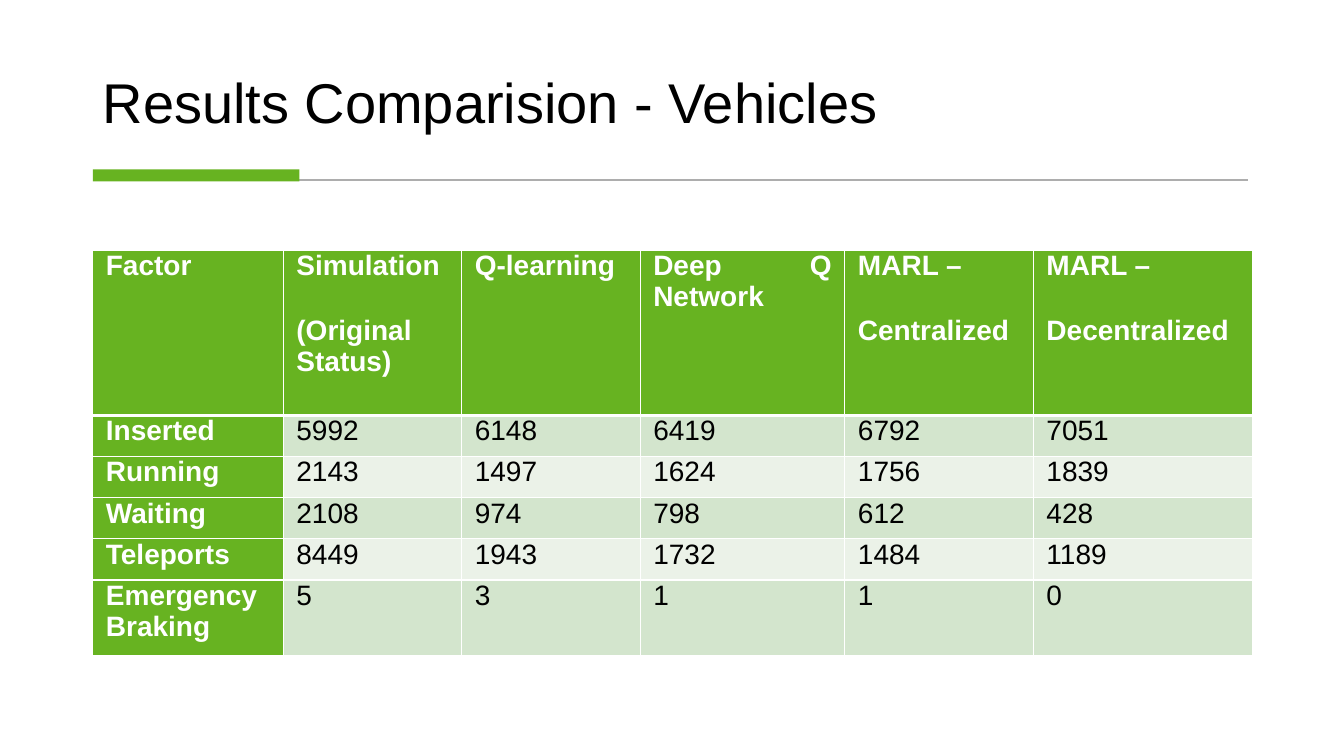
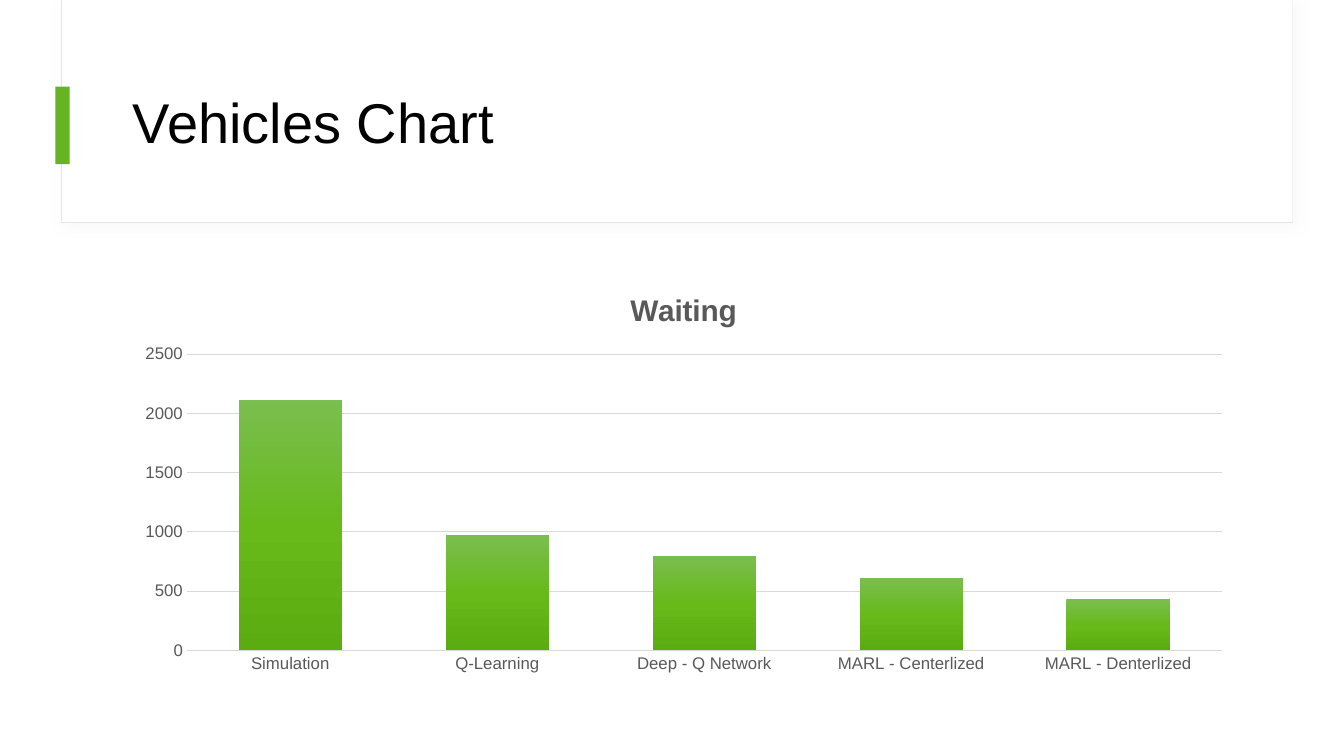
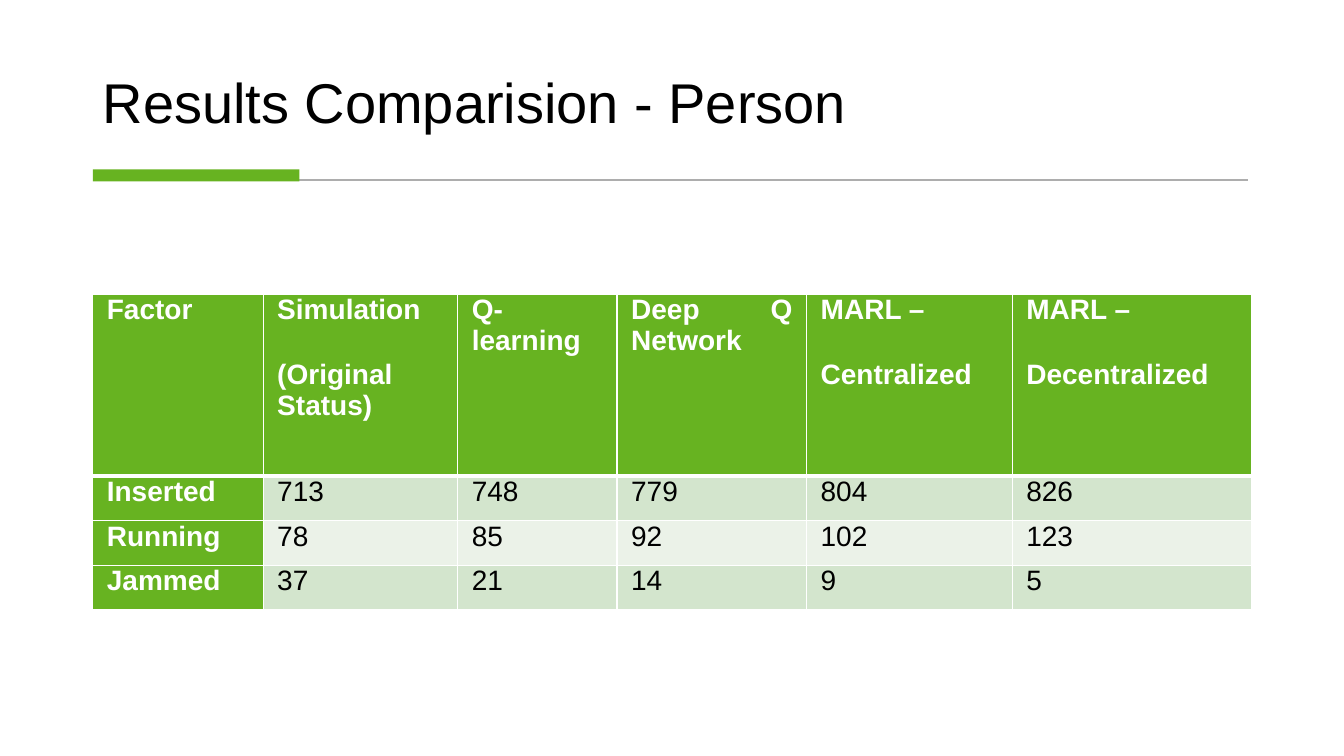
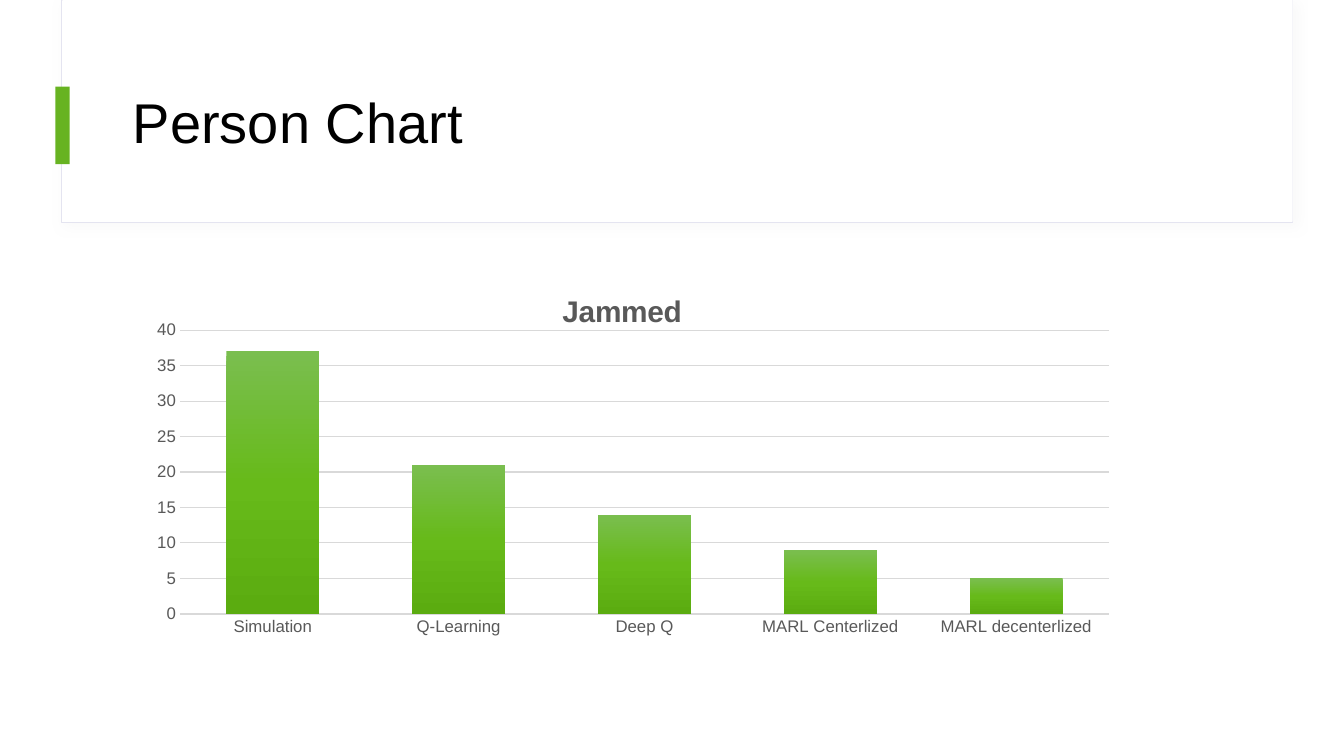
from lxml import etree
from pptx import Presentation
from pptx.chart.data import CategoryChartData
from pptx.dml.color import RGBColor
from pptx.enum import chart as charts, shapes, text
from pptx.oxml import parse_xml
from pptx.oxml.ns import nsdecls, qn
from pptx.util import Inches, Pt

# ---- Content ----
HEADER = ["Factor", "Simulation\n(Original Status)", "Q-learning",
          "Deep Q Network", "MARL –\nCentralized", "MARL –\nDecentralized"]

VEHICLES = {
    "title": "Results Comparision - Vehicles",
    "top": 2.48, "height": 4.02, "inset": 0.13,
    "columns": [1.89, 1.77, 1.77, 2.03, 1.87, 2.17],
    "row_shares": [1.65, 0.41, 0.41, 0.41, 0.41, 0.75],
    "rows": [
        ("Inserted", 5992, 6148, 6419, 6792, 7051),
        ("Running", 2143, 1497, 1624, 1756, 1839),
        ("Waiting", 2108, 974, 798, 612, 428),
        ("Teleports", 8449, 1943, 1732, 1484, 1189),
        ("Emergency Braking", 5, 3, 1, 1, 0),
    ],
}
VEHICLES_CHART = {
    "title": "Vehicles Chart", "measure": "Waiting", "series": "Waiting",
    "size": (11.12, 4.04), "max": 2500, "step": 500, "plot_percent": None,
    "values": {"Simulation": 2110, "Q-Learning": 970, "Deep - Q Network": 800,
               "MARL - Centerlized": 610, "MARL - Denterlized": 430},
}
PERSON = {
    "title": "Results Comparision - Person",
    "top": 2.92, "height": 3.13, "inset": 0.14,
    "columns": [1.69, 1.93, 1.58, 1.88, 2.04, 2.37],
    "row_shares": [1.8, 0.44, 0.44, 0.44],
    "rows": [
        ("Inserted", 713, 748, 779, 804, 826),
        ("Running", 78, 85, 92, 102, 123),
        ("Jammed", 37, 21, 14, 9, 5),
    ],
}
PERSON_CHART = {
    "title": "Person Chart", "measure": "Jammed", "series": "Series 1",
    "size": (9.9, 4.19), "max": 40, "step": 5,
    "plot_percent": {"x": 5.7, "y": 13.5, "w": 93.1, "h": 67.2},
    "values": {"Simulation": 37, "Q-Learning": 21, "Deep Q": 14,
               "MARL Centerlized": 9, "MARL decenterlized": 5},
}

# ---- Shared style ----
COLORS = {"green": "67B321", "white": "FFFFFF", "black": "000000",
          "band_dark": "D3E5CD", "band_light": "EBF2E8", "rule": "ADADAD",
          "frame": "E4E4F0", "shadow": "D9D9D9", "label": "595959",
          "grid": "D9D9D9"}
BAR_GRADIENT = [(0, "7ABE4F"), (50, "67BA1A"), (100, "5BAC10")]
FONT = "Arial"
WIDTH, HEIGHT = 13.33, 7.5
TABLE_LEFT, CHART_LEFT, CHART_TOP = 0.92, 1.22, 2.71


def rgb(name):
    return RGBColor.from_string(COLORS[name])


def set_font(font, size, color, bold=False):
    font.name, font.size, font.bold = FONT, Pt(size), bold
    font.color.rgb = rgb(color)


def add_block(slide, box, fill, line=None):
    block = slide.shapes.add_shape(shapes.MSO_SHAPE.RECTANGLE, *map(Inches, box))
    block.shadow.inherit = False
    block.fill.solid()
    block.fill.fore_color.rgb = rgb(fill)
    if line:
        block.line.color.rgb = rgb(line)
        block.line.width = Pt(0.75)
    else:
        block.line.fill.background()
    return block


def add_frame(slide):
    frame = add_block(slide, (0.61, 0, 12.21, 2.21), "white", "frame")
    effects = frame._element.spPr.find(qn("a:effectLst"))
    effects.append(parse_xml(
        f'<a:outerShdw {nsdecls("a")} blurRad="{Pt(8)}" dist="{Pt(3)}" dir="2700000">'
        f'<a:srgbClr val="{COLORS["shadow"]}"><a:alpha val="15000"/></a:srgbClr>'
        '</a:outerShdw>'))
    add_block(slide, (0.62, 0, 12.2, 2.2), "white")


def add_title(slide, title, box, anchor):
    frame = slide.shapes.add_textbox(*map(Inches, box)).text_frame
    frame.word_wrap = True
    frame.vertical_anchor = anchor
    frame.text = title
    heading = frame.paragraphs[0]
    heading.line_spacing = 0.9
    set_font(heading.font, 40, "black")


# ---- Table slides ----
def add_borders(cell, row):
    widths = {"lnL": 1, "lnR": 1, "lnT": 3 if row == 1 else 1,
              "lnB": 3 if row == 0 else 1}
    for place, (side, points) in enumerate(widths.items()):
        cell._tc.get_or_add_tcPr().insert(place, parse_xml(
            f'<a:{side} {nsdecls("a")} w="{Pt(points)}"><a:solidFill>'
            f'<a:srgbClr val="{COLORS["white"]}"/></a:solidFill></a:{side}>'))


def fill_cell(cell, value, row, column, inset):
    heading = row == 0 or column == 0
    cell.margin_left = cell.margin_right = Inches(inset)
    cell.margin_top = cell.margin_bottom = 0
    cell.fill.solid()
    cell.fill.fore_color.rgb = rgb(
        "green" if heading else "band_dark" if row % 2 else "band_light")
    add_borders(cell, row)
    cell.text = str(value)
    for i, paragraph in enumerate(cell.text_frame.paragraphs):
        paragraph.alignment = text.PP_ALIGN.JUSTIFY
        if i:
            paragraph.space_before = Pt(24)
        set_font(paragraph.font, 20, "white" if heading else "black", heading)


def build_table_slide(slide, content):
    add_block(slide, (0, 0, WIDTH, HEIGHT), "white")
    add_title(slide, content["title"], (TABLE_LEFT, 0.28, 11.49, 1.11),
              text.MSO_ANCHOR.BOTTOM)
    rule = slide.shapes.add_connector(
        shapes.MSO_CONNECTOR.STRAIGHT, *map(Inches, (0.95, 1.79, 12.38, 1.79)))
    rule.line.color.rgb = rgb("rule")
    rule.line.width = Pt(1.5)
    etree.SubElement(rule._element.spPr, qn("a:effectLst"))
    add_block(slide, (TABLE_LEFT, 1.68, 2.05, 0.12), "green")

    widths, shares = content["columns"], content["row_shares"]
    table = slide.shapes.add_table(
        len(shares), len(widths), Inches(TABLE_LEFT), Inches(content["top"]),
        Inches(sum(widths)), Inches(content["height"])).table
    for column, width in zip(table.columns, widths):
        column.width = Inches(width)
    for row, share in zip(table.rows, shares):
        row.height = Inches(content["height"] * share / sum(shares))
    for r, values in enumerate([HEADER, *content["rows"]]):
        for c, value in enumerate(values):
            fill_cell(table.cell(r, c), value, r, c, content["inset"])


# ---- Chart slides ----
def fill_with_gradient(series):
    series.format.fill.gradient()
    old = next(series._element.iter(qn("a:gradFill")))
    stops = "".join(f'<a:gs pos="{share * 1000}"><a:srgbClr val="{color}"/></a:gs>'
                    for share, color in BAR_GRADIENT)
    old.getparent().replace(old, parse_xml(
        f'<a:gradFill {nsdecls("a")} rotWithShape="1"><a:gsLst>{stops}</a:gsLst>'
        '<a:lin ang="5400000" scaled="0"/></a:gradFill>'))


def place_plot(chart, percents):
    area = chart._chartSpace.chart.plotArea
    for layout in area.findall(qn("c:layout")):
        area.remove(layout)
    modes = '<c:xMode val="edge"/><c:yMode val="edge"/>'
    shares = "".join(f'<c:{key} val="{percent / 100:.3f}"/>'
                     for key, percent in percents.items())
    area.insert(0, parse_xml(
        f'<c:layout {nsdecls("c")}><c:manualLayout><c:layoutTarget val="inner"/>'
        f'{modes}{shares}</c:manualLayout></c:layout>'))


def build_chart_slide(slide, content):
    add_block(slide, (0.55, 0.86, 0.14, 0.77), "green")
    add_title(slide, content["title"], (CHART_LEFT, 0.6, 11.12, 1.29),
              text.MSO_ANCHOR.MIDDLE)

    data = CategoryChartData()
    data.categories = content["values"].keys()
    data.add_series(content["series"], content["values"].values())
    chart = slide.shapes.add_chart(
        charts.XL_CHART_TYPE.COLUMN_CLUSTERED,
        *map(Inches, (CHART_LEFT, CHART_TOP, *content["size"])), data).chart
    set_font(chart.font, 10, "black")
    chart.has_legend = False
    chart.has_title = True
    chart.chart_title.include_in_layout = False
    measure = chart.chart_title.text_frame
    measure.text = content["measure"]
    set_font(measure.paragraphs[0].font, 21.3, "label", True)

    bars = chart.plots[0]
    bars.gap_width, bars.overlap, bars.vary_by_categories = 100, -24, False
    fill_with_gradient(bars.series[0])

    for axis in (chart.category_axis, chart.value_axis):
        axis.major_tick_mark = axis.minor_tick_mark = charts.XL_TICK_MARK.NONE
        set_font(axis.tick_labels.font, 12, "label")
    chart.category_axis.format.line.color.rgb = rgb("grid")
    chart.category_axis.format.line.width = Pt(1)
    scale = chart.value_axis
    scale.minimum_scale, scale.maximum_scale = 0, content["max"]
    scale.major_unit = content["step"]
    scale.format.line.fill.background()
    scale.major_gridlines.format.line.color.rgb = rgb("grid")
    scale.major_gridlines.format.line.width = Pt(0.75)
    if content["plot_percent"]:
        place_plot(chart, content["plot_percent"])


def main():
    deck = Presentation()
    deck.slide_width, deck.slide_height = Inches(WIDTH), Inches(HEIGHT)
    blank = deck.slide_layouts[6]
    for build, content in [(build_table_slide, VEHICLES),
                           (build_chart_slide, VEHICLES_CHART),
                           (build_table_slide, PERSON),
                           (build_chart_slide, PERSON_CHART)]:
        slide = deck.slides.add_slide(blank)
        add_frame(slide)
        build(slide, content)
    deck.save("out.pptx")


if __name__ == "__main__":
    main()
